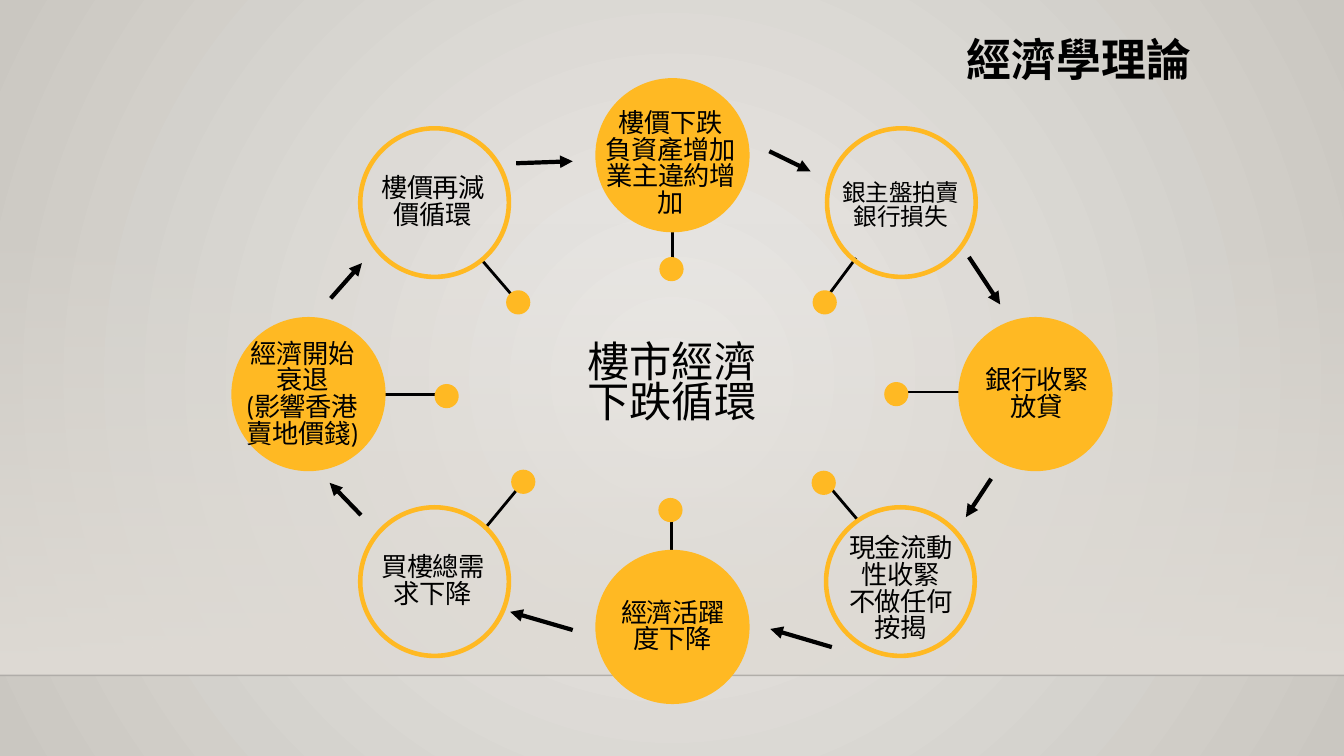
"""Build the slide on the downward cycle of the housing market."""
from typing import NamedTuple

from lxml import etree
from pptx import Presentation
from pptx.dml.color import RGBColor
from pptx.enum.shapes import MSO_CONNECTOR, MSO_SHAPE
from pptx.enum.text import PP_ALIGN
from pptx.oxml.ns import qn
from pptx.util import Inches, Pt

STRAIGHT = MSO_CONNECTOR.STRAIGHT
OVAL, DONUT, RECT = MSO_SHAPE.OVAL, MSO_SHAPE.DONUT, MSO_SHAPE.RECTANGLE
CENTER, LEFT = PP_ALIGN.CENTER, PP_ALIGN.LEFT
AMBER, BLACK = "FFB923", "000000"
SOLID_SIZE, RING_SIZE, DOT_SIZE = 1.53, 1.52, 0.24


class Stage(NamedTuple):
    center: tuple[float, float]
    solid: bool
    dot: tuple[float, float]
    stem: tuple[float, float, float, float]
    box: tuple[float, float, float, float]
    lines: list[str]
    size: float = 18.8
    leading: float = 19.1
    spacing: float = -0.3


class Arrow(NamedTuple):
    x1: float
    y1: float
    x2: float
    y2: float


STAGES = [
    Stage((6.67, 1.54), True, (6.66, 2.67), (6.67, 2, 6.67, 2.66),
          (5.99, 1.1, 1.33, 1.07), ["樓價下跌", "負資產增加", "業主違約增加"],
          size=18.7, spacing=-0.2),
    Stage((4.31, 5.77), False, (5.19, 4.78), (5.2, 4.77, 4.82, 5.23),
          (3.78, 5.51, 1.03, 0.54), ["買樓總需求下降"]),
    Stage((3.06, 3.91), True, (4.43, 3.93), (3.62, 3.91, 4.36, 3.91),
          (2.42, 3.39, 1.16, 1.07), ["經濟開始衰退", "(影響香港賣地價錢)"]),
    Stage((4.31, 2.01), False, (5.14, 3), (4.77, 2.57, 5.14, 3),
          (3.78, 1.75, 1.03, 0.54), ["樓價再減價循環"]),
    Stage((8.94, 2.01), False, (8.18, 3), (8.49, 2.56, 8.17, 2.99),
          (8.34, 1.81, 1.19, 0.48), ["銀主盤拍賣", "銀行損失"],
          size=16.9, leading=17.2, spacing=-0.2),
    Stage((10.27, 3.91), True, (8.89, 3.91), (8.95, 3.89, 9.69, 3.89),
          (9.77, 3.65, 1.03, 0.54), ["銀行收緊放貸"]),
    Stage((8.93, 5.77), False, (8.17, 4.79), (8.16, 4.75, 8.5, 5.15),
          (8.38, 5.32, 1.11, 1.07), ["現金流動性收緊", "不做任何按揭"]),
    Stage((6.67, 6.22), True, (6.65, 5.06), (6.66, 5.08, 6.66, 5.59),
          (6.16, 5.96, 1.03, 0.54), ["經濟活躍度下降"]),
]

ARROWS = [
    Arrow(7.63, 1.5, 8.04, 1.7),
    Arrow(9.61, 2.55, 9.92, 3.02),
    Arrow(9.83, 4.75, 9.58, 5.13),
    Arrow(8.25, 6.42, 7.64, 6.24),
    Arrow(5.68, 6.25, 5.06, 6.07),
    Arrow(3.58, 5.11, 3.27, 4.79),
    Arrow(3.28, 2.96, 3.59, 2.61),
    Arrow(5.12, 1.62, 5.68, 1.6),
]


def rgb(value: str) -> RGBColor:
    return RGBColor.from_string(value)


def set_alpha(color, percent: int) -> None:
    etree.SubElement(color, qn("a:alpha"), val=str(percent * 1000))


def set_gradient(fill, first: str, last: str) -> None:
    fill.gradient()
    for stop, value in zip(fill.gradient_stops, (first, last)):
        stop.color.rgb = rgb(value)


def add_line(slide, x1: float, y1: float, x2: float, y2: float, *,
             color: str = BLACK, width: float = 2, head: bool = False):
    sp = slide.shapes.add_connector(
        STRAIGHT, Inches(x1), Inches(y1), Inches(x2), Inches(y2))
    sp.line.color.rgb = rgb(color)
    sp.line.width = Pt(width)
    if head:
        etree.SubElement(sp.line._get_or_add_ln(), qn("a:tailEnd"), type="triangle")
    etree.SubElement(sp._element.spPr, qn("a:effectLst"))
    return sp


def add_round(slide, kind, center: tuple[float, float], size: float):
    x, y = center
    sp = slide.shapes.add_shape(kind, Inches(x - size / 2), Inches(y - size / 2),
                                Inches(size), Inches(size))
    sp.shadow.inherit = False
    sp.fill.solid()
    sp.fill.fore_color.rgb = rgb(AMBER)
    sp.line.fill.background()
    return sp


def add_text(slide, lines: list[str], box: tuple[float, float, float, float], *,
             size: float, font: str = "Cabin", leading: float | None = None,
             spacing: float = 0, bold: bool = False, align=CENTER,
             margins: bool = False) -> None:
    tf = slide.shapes.add_textbox(*(Inches(v) for v in box)).text_frame
    tf.word_wrap = True
    if not margins:
        tf.margin_left = tf.margin_right = tf.margin_top = tf.margin_bottom = 0
    for i, line in enumerate(lines):
        p = tf.add_paragraph() if i else tf.paragraphs[0]
        p.alignment = align
        if leading:
            p.line_spacing = Pt(leading)
        r = p.add_run()
        r.text = line
        r.font.name = font
        r.font.size = Pt(size)
        r.font.bold = bold
        r.font.color.rgb = rgb(BLACK)
        if spacing:
            r.font._element.set("spc", str(round(spacing * 100)))


def add_backdrop(slide) -> None:
    set_gradient(slide.background.fill, "ECEAE7", "CAC7C1")
    lin = next(slide._element.iter(qn("a:lin")))
    radial = etree.Element(qn("a:path"), path="circle")
    etree.SubElement(radial, qn("a:fillToRect"),
                     l="50000", t="50000", r="50000", b="50000")
    lin.getparent().replace(lin, radial)

    wall = slide.shapes.add_shape(RECT, 0, Inches(2.21), Inches(13.33), Inches(4.49))
    wall.shadow.inherit = False
    wall.line.fill.background()
    set_gradient(wall.fill, "DFDBD5", "DFDBD5")
    wall.fill.gradient_angle = 270
    set_alpha(next(wall._element.iter(qn("a:srgbClr"))), 0)

    floor = add_line(slide, 0, 6.7, 13.33, 6.7, color="000001", width=1)
    set_alpha(next(floor._element.iter(qn("a:srgbClr"))), 20)


def add_stage(slide, stage: Stage) -> None:
    add_line(slide, *stage.stem)
    if stage.solid:
        add_round(slide, OVAL, stage.center, SOLID_SIZE)
    else:
        ring = add_round(slide, DONUT, stage.center, RING_SIZE)
        ring.adjustments[0] = 0.03
    add_round(slide, OVAL, stage.dot, DOT_SIZE)
    add_text(slide, stage.lines, stage.box, size=stage.size,
             leading=stage.leading, spacing=stage.spacing)


def main() -> None:
    prs = Presentation()
    prs.slide_width, prs.slide_height = Inches(13.33), Inches(7.5)
    slide = prs.slides.add_slide(prs.slide_layouts[6])
    add_backdrop(slide)
    for stage in STAGES:
        add_stage(slide, stage)
    add_text(slide, ["樓市經濟", "下跌循環"], (5.06, 3.43, 3.21, 0.84),
             size=30.2, font="Calibri", leading=28.7)
    for arrow in ARROWS:
        add_line(slide, *arrow, width=3, head=True)
    add_text(slide, ["經濟學理論"], (9.49, 0.27, 2.43, 0.64),
             size=32, bold=True, align=LEFT, margins=True)
    prs.save("out.pptx")


if __name__ == "__main__":
    main()
